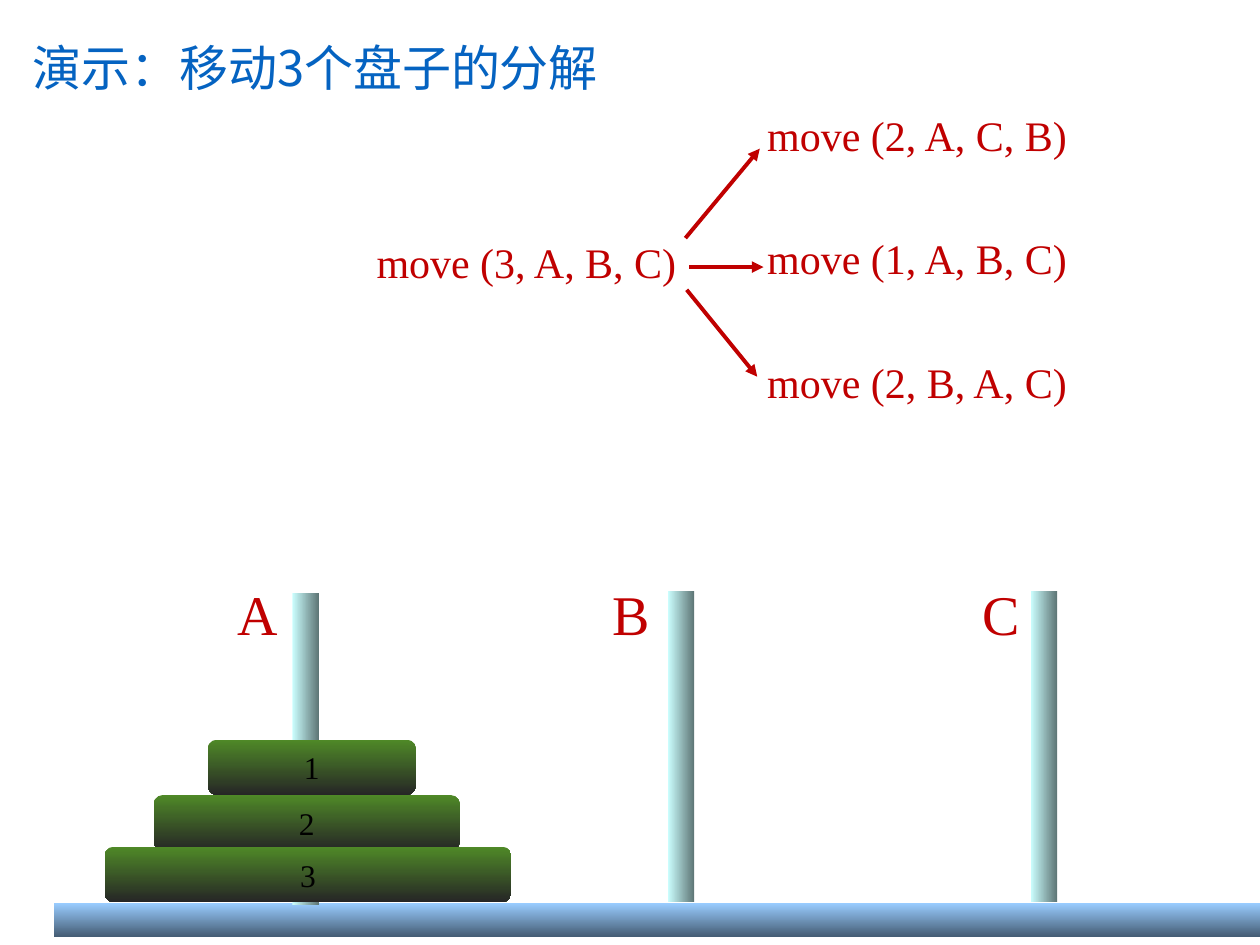
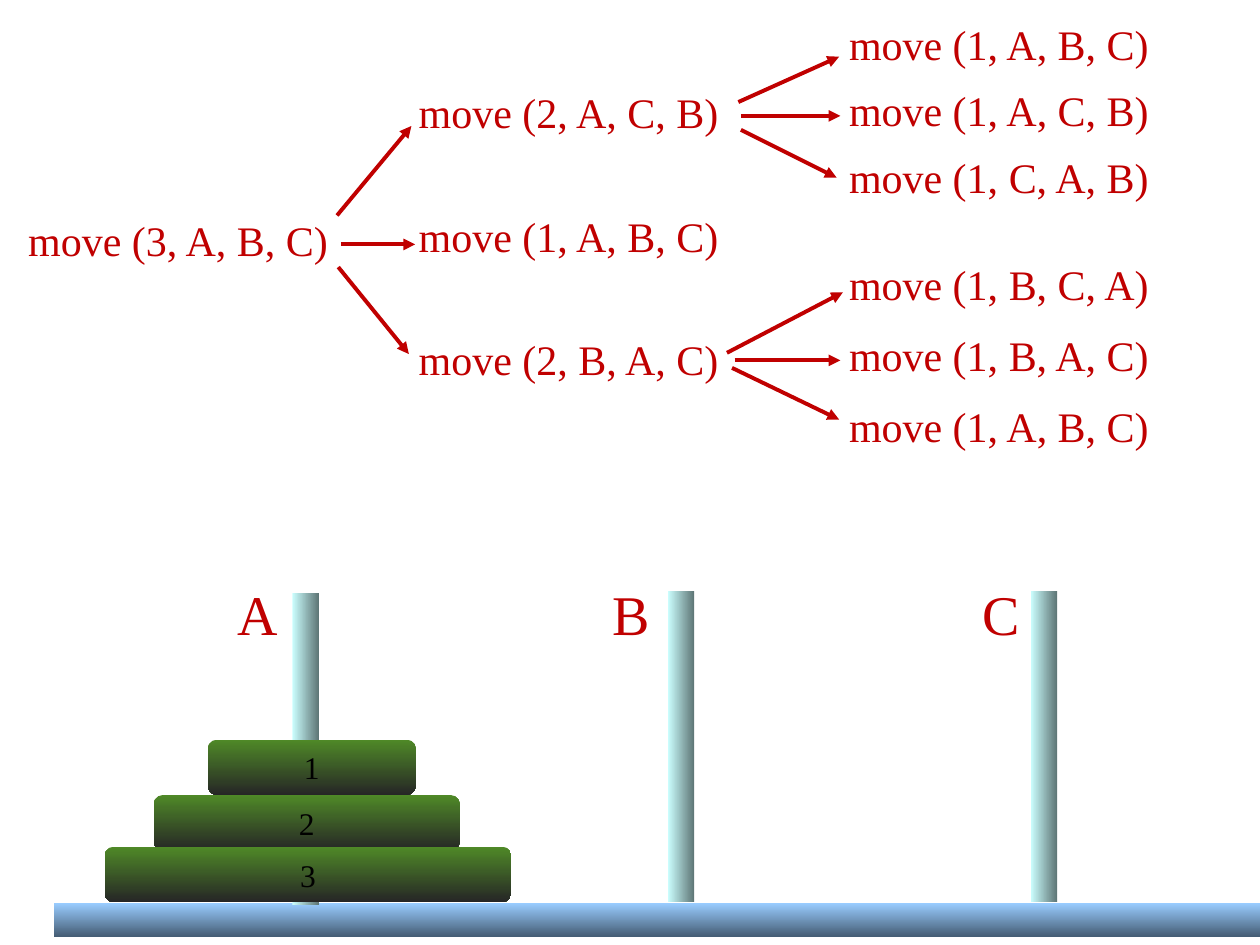
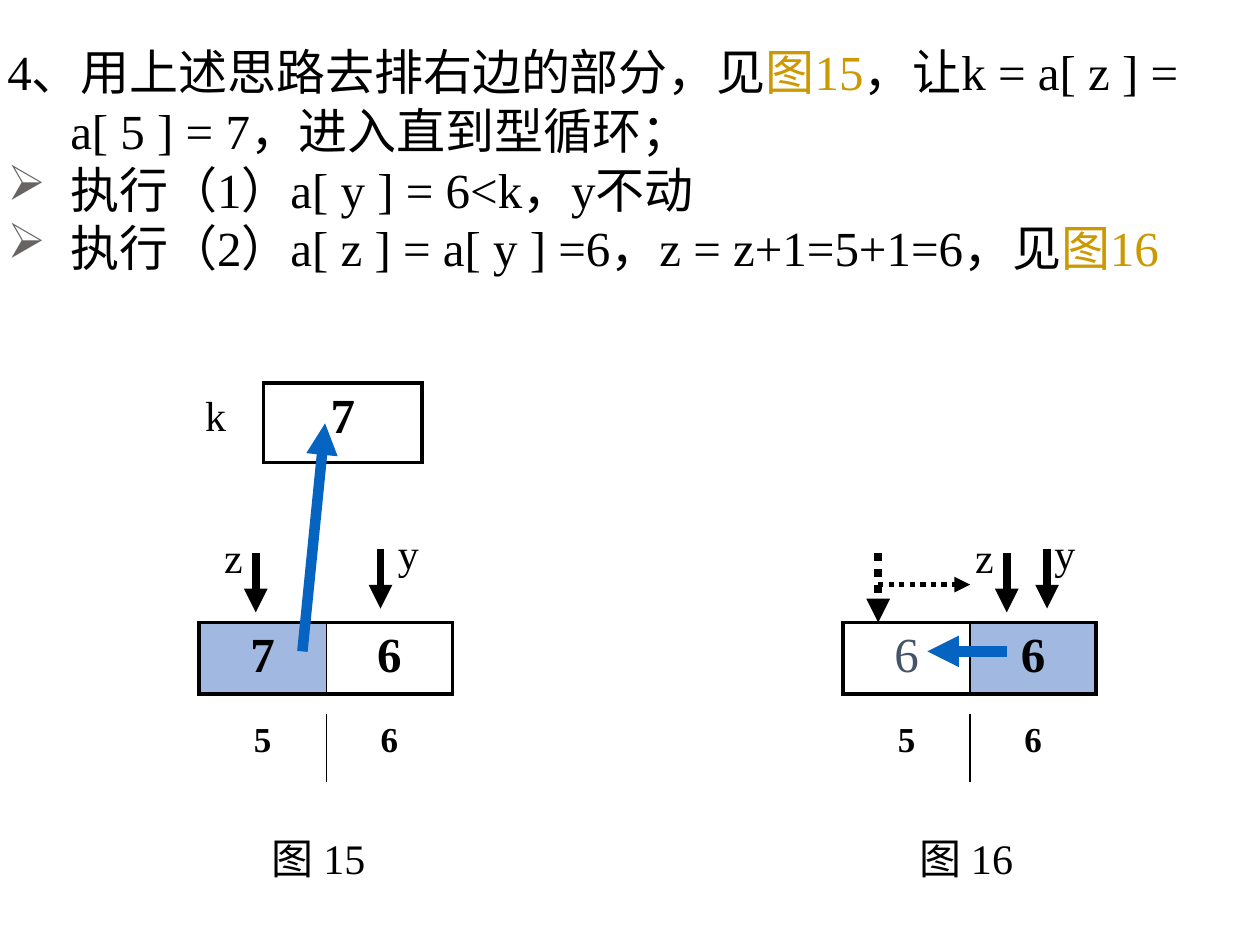
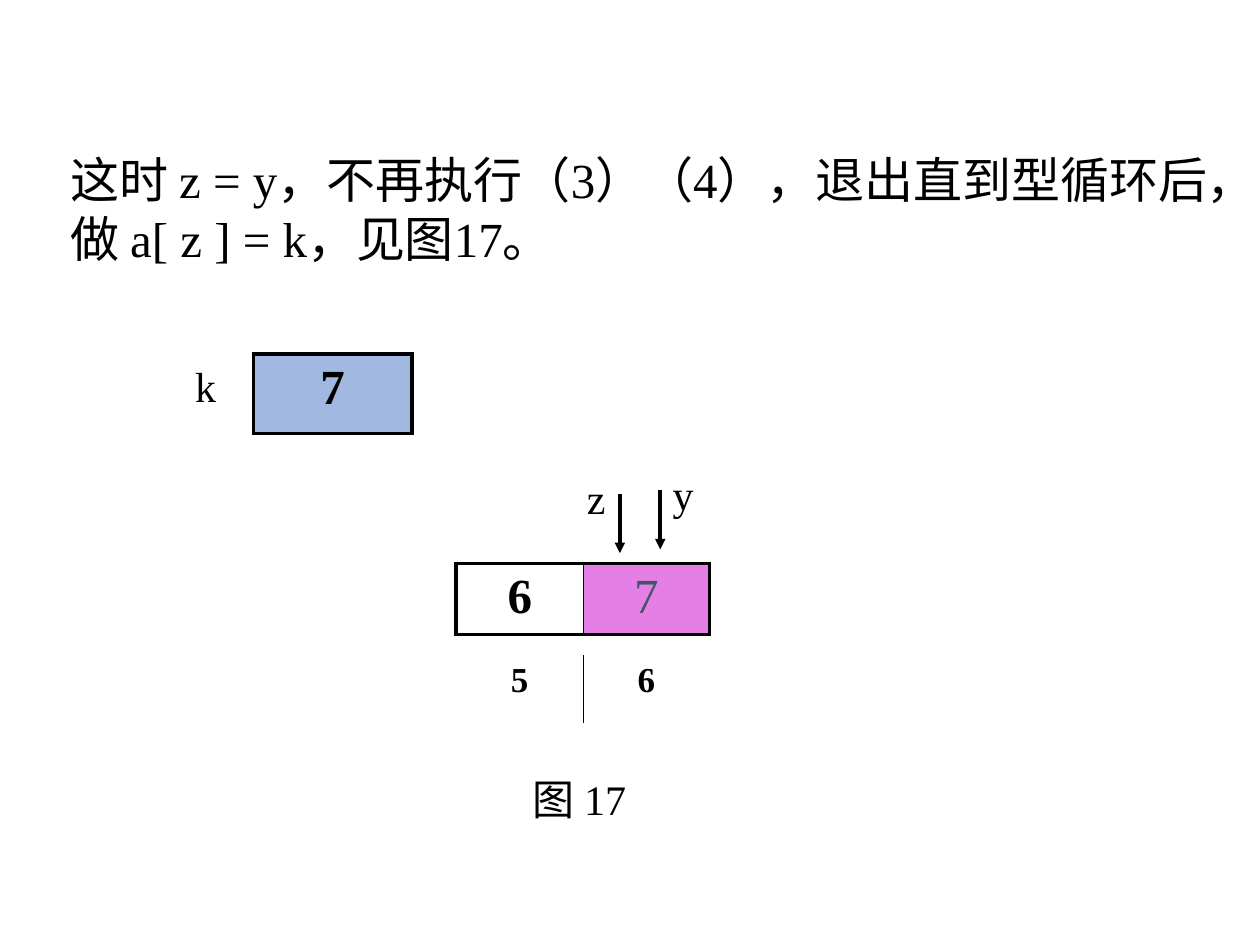
import dataclasses

import pptx
import pptx.dml.color
import pptx.enum.dml
import pptx.enum.shapes
import pptx.enum.text
import pptx.oxml.ns
import pptx.util
from lxml import etree


@dataclasses.dataclass(frozen=True)
class Theme:
    latin: str = "Times New Roman"
    asian: str = "Noto Sans CJK SC"
    red: str = "C00000"
    blue: str = "0563C1"
    black: str = "000000"
    gold: str = "CC9900"
    slate: str = "44546A"
    bullet: str = "696464"
    active: str = "4472C4"
    result: str = "CC00CC"
    peg: tuple = ("CCFFFF", "CCFFFF")
    base: tuple = ("99CCFF", "99CCFF")
    disc: tuple = ("4F8927", "262626")
    shade: int = 46275
    body: int = 28
    call: int = 24
    peg_name: int = 32
    index: int = 20
    disc_name: int = 18


theme = Theme()
rgb = pptx.dml.color.RGBColor.from_string
qn = pptx.oxml.ns.qn
center = pptx.enum.text.PP_ALIGN.CENTER


def child(parent, tag, **attributes):
    """Append a DrawingML element and return it."""
    element = etree.SubElement(parent, qn(f"a:{tag}"))
    for name, value in attributes.items():
        element.set(name, str(value))
    return element


def write(frame, paragraphs, size, color=theme.black, font=theme.latin,
          bold=False, align=None, margin=0, hang=0, before=0):
    """Fill a text frame; each paragraph is a list of (text, colour or None)."""
    for number, spans in enumerate(paragraphs):
        para = frame.add_paragraph() if number else frame.paragraphs[0]
        para.alignment = align
        settings = para._p.get_or_add_pPr()
        settings.set("marL", str(round(margin * column)))
        settings.set("indent", str(round(-hang * column)))
        if before:
            child(child(settings, "spcBef"), "spcPct", val=before * 1000)
        for text, tint in spans:
            span = para.add_run()
            span.text = text
            look = {"size": pptx.util.Pt(size), "bold": bold, "name": font}
            for name, value in look.items():
                setattr(span.font, name, value)
            span.font.color.rgb = rgb(tint or color)
            child(span._r.get_or_add_rPr(), "ea", typeface=theme.asian)


# The slide is a grid of 100 columns and 75 rows.
deck = pptx.Presentation()
deck.slide_width = pptx.util.Inches(10)
deck.slide_height = pptx.util.Inches(7.5)
column = deck.slide_width / 100
row = deck.slide_height / 75
pages = [deck.slides.add_slide(deck.slide_layouts[6]) for _ in range(4)]
split_page, tree_page, sort_page, final_page = pages

texts = []   # page, (left, top, width, height), wrap, paragraphs, format
arrows = []  # page, start, end, colour, weight, dotted
tables = []  # page, left, top, widths, height, outer border, size, cells

# Towers of Hanoi
RECT = pptx.enum.shapes.MSO_SHAPE.RECTANGLE
ROUNDED = pptx.enum.shapes.MSO_SHAPE.ROUNDED_RECTANGLE
tower = [
    (RECT, (53, 46.9, 2.1, 24.7), theme.peg, 0, ""),
    (RECT, (4.3, 71.7, 96.2, 2.6), theme.base, 270, ""),
    (RECT, (23.2, 47.1, 2.1, 24.7), theme.peg, 0, ""),
    (RECT, (81.8, 46.9, 2.1, 24.7), theme.peg, 0, ""),
    (ROUNDED, (12.2, 63.1, 24.3, 4.4), theme.disc, 270, "2"),
    (ROUNDED, (16.5, 58.7, 16.5, 4.4), theme.disc, 270, "1"),
    (ROUNDED, (8.3, 67.2, 32.3, 4.4), theme.disc, 270, "3"),
]
for page in (split_page, tree_page):
    for kind, (left, top, width, height), colors, angle, name in tower:
        part = page.shapes.add_shape(kind, round(left * column), round(top * row),
                                     round(width * column), round(height * row))
        part.shadow.inherit = False
        part.line.fill.background()
        part.fill.gradient()
        part.fill.gradient_angle = angle
        for stop, color in zip(part.fill.gradient_stops, colors):
            stop.color.rgb = rgb(color)
        if name:
            part.text_frame.vertical_anchor = pptx.enum.text.MSO_ANCHOR.MIDDLE
            write(part.text_frame, [[(name, None)]], theme.disc_name,
                  align=center, margin=3.8, hang=3.8, before=50)
        else:
            dark = list(part._element.spPr.iter(qn("a:srgbClr")))[-1]
            child(dark, "gamma")
            child(dark, "shade", val=theme.shade)
            child(dark, "invGamma")
    for name, left in zip("ABC", (17.9, 47.6, 77)):
        texts.append((page, (left, 45.5, 5.2, 6.3), False, [[(name, None)]],
                      {"size": theme.peg_name, "color": theme.red}))

# Call tree: the second page moves it left and adds the leaves
calls = [("3, A, B, C", 28.9, 18.3), ("2, A, C, B", 59.9, 8.2),
         ("1, A, B, C", 59.9, 18), ("2, B, A, C", 59.9, 27.8)]
branches = [((54.4, 18.9), (60.3, 11.8)), ((54.7, 21.2), (60.6, 21.2)),
            ((54.5, 23), (60.1, 29.9))]
leaves = [(name, 66.4, top + step * order)
          for top, step, names in (
              (1, 5.25, ("1, A, B, C", "1, A, C, B", "1, C, A, B")),
              (20, 5.65, ("1, B, C, A", "1, B, A, C", "1, A, B, C")))
          for order, name in enumerate(names)]
twigs = [((58.6, 8.1), (66.6, 4.5)), ((58.8, 9.2), (66.7, 9.2)),
         ((58.8, 10.3), (66.4, 14.1)), ((57.7, 28), (66.9, 23.2)),
         ((58.3, 28.6), (66.7, 28.6)), ((58.1, 29.2), (66.6, 33.3))]
for page, right, down, nodes, links in (
        (split_page, 0, 0, calls, branches),
        (tree_page, -27.65, -1.8, calls, branches),
        (tree_page, 0, 0, leaves, twigs)):
    for name, left, top in nodes:
        texts.append((page, (left + right, top + down, 26.4, 5), False,
                      [[(f"move ({name})", None)]],
                      {"size": theme.call, "color": theme.red}))
    for start, end in links:
        arrows.append((page, (start[0] + right, start[1] + down),
                       (end[0] + right, end[1] + down), theme.red, 2.25, False))

texts.append((split_page, (1.6, 2.5, 47.3, 5.7), True,
              [[("演示：移动3个盘子的分解", None)]],
              {"size": theme.body, "color": theme.blue, "font": theme.asian}))

# Sorting steps
texts.append((sort_page, (-0.4, 2.8, 100.4, 24.4), True, [
    [("4、用上述思路去排右边的部分，见", None), ("图15", theme.gold),
     ("，让k = a[ z ] = a[ 5 ] = 7，进入直到型循环；", None)],
    [("执行（1）a[ y ] = 6<k，y不动", None)],
    [("执行（2）a[ z ] = a[ y ] =6，z = z+1=5+1=6，见", None), ("图16", theme.gold)],
], {"size": theme.body, "margin": 5, "hang": 5}))
texts.append((final_page, (-0.4, 11.4, 100.4, 10.3), True,
              [[("这时 z = y，不再执行（3）（4），退出直到型循环后，做 a[ z ] = k，见图17。", None)]],
              {"size": theme.body, "margin": 5}))

label = {"size": theme.call, "margin": 3.8, "hang": 3.8, "before": 50}
strong = (theme.black, True)
faint = (theme.slate, False)
# Pointer places (z label, z arrow, y arrow, y label) count from the array's left.
figures = [
    (sort_page, "图 15", 15.8, 49.4, 4.8, (1, 4.5, 14.4, 14.8), 4.5,
     [("7", *strong, theme.active), ("6", *strong, None)]),
    (sort_page, "图 16", 66.9, 49.4, 5.1, (9.5, 13, 16.2, 15.8), 4.5,
     [("6", *faint, None), ("6", *strong, theme.active)]),
    (final_page, "图 17", 36.2, 44.7, 5.1, (9.4, 13, 16.2, 16.2), 2,
     [("6", *strong, None), ("7", *faint, theme.result)]),
]
for page, caption, left, top, inset, places, weight, cells in figures:
    z_label, z_arrow, y_arrow, y_label = (left + place for place in places)
    tables.append((page, left, top, (10.1, 10), 5.5, 2.25, theme.body, cells))
    tables.append((page, left, top + 7.3, (10.1, 10), 5.4, 0, theme.index,
                   [(name, *strong, None) for name in "56"]))
    texts.append((page, (left + inset, top + 16.2, 10.1, 5), True,
                  [[(caption, None)]], label))
    for name, name_left, tip, rise in (("z", z_label, z_arrow, 7.7),
                                       ("y", y_label, y_arrow, 8)):
        texts.append((page, (name_left, top - rise, 3.6, 5), True,
                      [[(name, None)]], label))
        arrows.append((page, (tip, top - rise + 2.2), (tip, top - rise + 6.9),
                       theme.black, weight, False))

for page, left, top, fill in ((sort_page, 20.9, 30.4, None),
                              (final_page, 20.1, 28.1, theme.active)):
    tables.append((page, left, top, (12.6,), 6.3, 2.25, theme.body,
                   [("7", *strong, fill)]))
    texts.append((page, (left - 5.6, top, 8.7, 5), True, [[("k", None)]], label))

arrows += [
    (sort_page, (24, 51.7), (25.8, 33.6), theme.blue, 6, False),
    (sort_page, (79.9, 51.7), (73.6, 51.7), theme.blue, 6, False),
    (sort_page, (69.7, 43.9), (69.7, 49.4), theme.black, 4.5, True),
    (sort_page, (69.7, 46.4), (77, 46.4), theme.black, 3, True),
]

# Draw what was collected
for page, (left, top, width, height), wrap, paragraphs, look in texts:
    box = page.shapes.add_textbox(round(left * column), round(top * row),
                                  round(width * column), round(height * row))
    box.text_frame.word_wrap = wrap
    box.text_frame.auto_size = pptx.enum.text.MSO_AUTO_SIZE.SHAPE_TO_FIT_TEXT
    write(box.text_frame, paragraphs, **look)
    for para in box.text_frame.paragraphs[1:]:
        settings = para._p.get_or_add_pPr()
        child(child(settings, "buClr"), "srgbClr", val=theme.bullet)
        child(settings, "buChar", char="➢")

for page, left, top, widths, height, outer, size, cells in tables:
    grid = page.shapes.add_table(1, len(widths), round(left * column), round(top * row),
                                 round(sum(widths) * column), round(height * row)).table
    for name in ("first_row", "horz_banding"):
        setattr(grid, name, False)
    for place, (width, (text, color, bold, fill)) in enumerate(zip(widths, cells)):
        grid.columns[place].width = round(width * column)
        cell = grid.cell(0, place)
        write(cell.text_frame, [[(text, None)]], size, color, bold=bold,
              align=center, before=20)
        borders = {"lnL": 1 if place else outer,
                   "lnR": 1 if place < len(widths) - 1 else outer,
                   "lnT": outer, "lnB": outer}
        for side, weight in borders.items():
            edge = child(cell._tc.get_or_add_tcPr(), side, w=round(weight * 12700))
            if weight:
                child(child(edge, "solidFill"), "srgbClr", val=theme.black)
            else:
                child(edge, "noFill")
        if fill:
            cell.fill.solid()
            cell.fill.fore_color.rgb = rgb(fill)
            tint = cell._tc.tcPr.find(f"{qn('a:solidFill')}/{qn('a:srgbClr')}")
            child(tint, "alpha", val=50000)
        else:
            cell.fill.background()

for page, start, end, color, weight, dotted in arrows:
    arrow = page.shapes.add_connector(
        pptx.enum.shapes.MSO_CONNECTOR.STRAIGHT,
        round(start[0] * column), round(start[1] * row),
        round(end[0] * column), round(end[1] * row))
    arrow.line.color.rgb = rgb(color)
    arrow.line.width = pptx.util.Pt(weight)
    if dotted:
        arrow.line.dash_style = pptx.enum.dml.MSO_LINE.ROUND_DOT
    child(arrow.line._get_or_add_ln(), "tailEnd", type="triangle")
    child(arrow._element.spPr, "effectLst")

deck.save("out.pptx")
